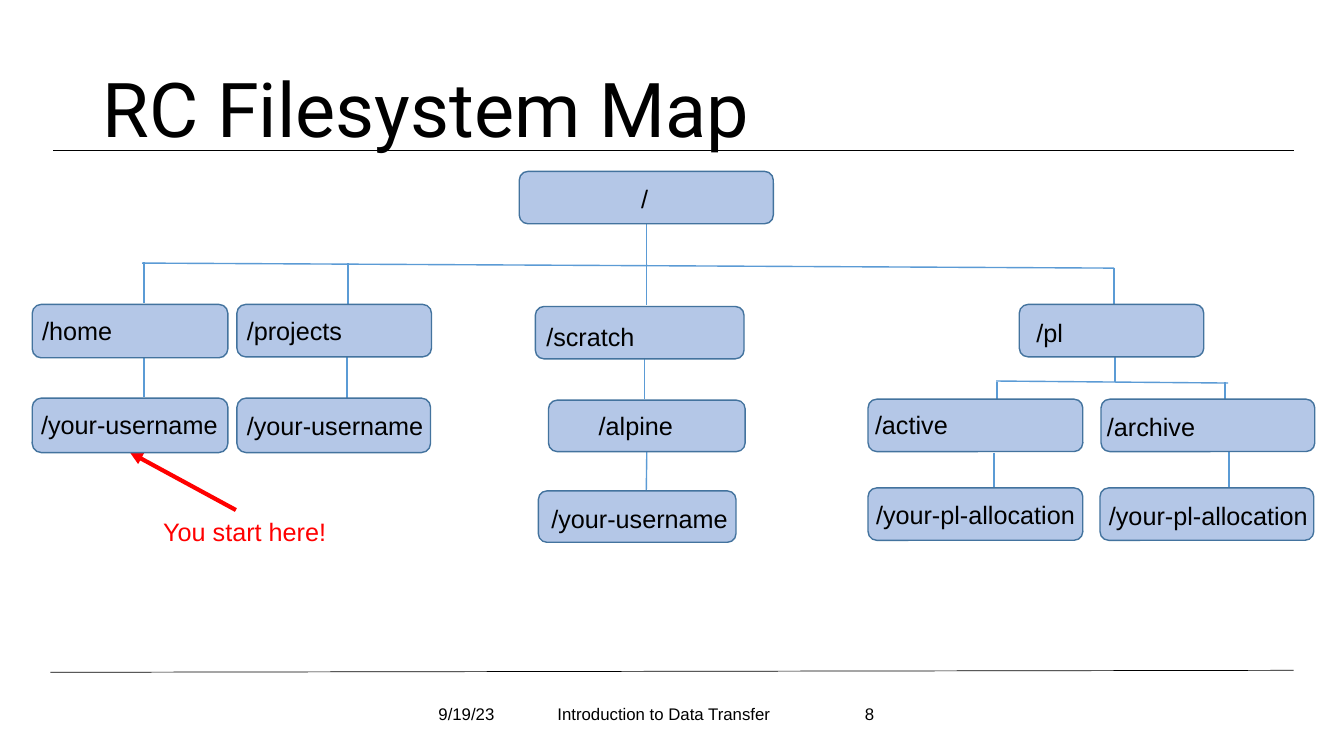
from dataclasses import dataclass

from pptx import Presentation
from pptx.dml.color import RGBColor
from pptx.enum.shapes import MSO_CONNECTOR, MSO_SHAPE
from pptx.enum.text import MSO_ANCHOR, MSO_AUTO_SIZE, PP_ALIGN
from pptx.oxml.ns import qn
from pptx.util import Inches, Pt
from lxml.etree import SubElement

COLORS = {
    "black": "000000",
    "white": "FFFFFF",
    "box": "B4C7E7",
    "border": "43739E",
    "branch": "5B9BD5",
    "red": "FF0000",
}
# Grid: 133.3 columns by 75 rows
COLS, ROWS = 133.3, 75
WIDTH, HEIGHT = Inches(13.33), Inches(7.5)
LABEL_ROWS = 4
BOTTOM = 2


@dataclass(frozen=True)
class Folder:
    key: str
    name: str
    col: float
    row: float
    cols: float
    rows: float
    label_col: float
    label_row: float
    label_cols: float


@dataclass(frozen=True)
class Line:
    col1: float
    row1: float
    col2: float
    row2: float
    color: str = "branch"
    weight: float = 1
    begin: str = ""  # folder whose bottom the line starts from
    end: str = ""  # folder whose bottom the line ends at
    arrow: bool = False


@dataclass(frozen=True)
class Footer:
    text: str
    col: float
    cols: float
    align: PP_ALIGN


FOLDERS = [
    Folder("root", "/", 51.5, 17, 25.2, 5.2, 62.6, 17.7, 3),
    Folder("home", "/home", 3.2, 30.2, 19.4, 5.3, 3.2, 30.8, 9.4),
    Folder("projects", "/projects", 23.5, 30.2, 19.3, 5.2, 23.5, 30.8, 12.3),
    Folder("scratch", "/scratch", 53.1, 30.4, 20.7, 5.2, 53.2, 31.4, 11.4),
    Folder("pl", "/pl", 101.1, 30.2, 18.3, 5.2, 101.8, 31, 8.8),
    Folder("home_user", "/your-username", 3.2, 39.5, 19.4, 5.4, 3.1, 40.1, 20.4),
    Folder("projects_user", "/your-username", 23.5, 39.5, 19.2, 5.4, 23.5, 40.2, 20.4),
    Folder("alpine", "/alpine", 54.4, 39.7, 19.5, 5.1, 58.4, 40.2, 11.3),
    Folder("alpine_user", "/your-username", 53.4, 48.7, 19.6, 5.1, 53.7, 49.4, 20.4),
    Folder("active", "/active", 86.1, 39.6, 21.3, 5.2, 85.8, 40.1, 10.2),
    Folder("archive", "/archive", 109.2, 39.6, 21.2, 5.2, 108.8, 40.3, 11),
    Folder("active_alloc", "/your-pl-allocation", 86.1, 48.4, 21.3, 5.2, 85.9, 49, 22.2),
    Folder("archive_alloc", "/your-pl-allocation", 109.1, 48.4, 21.2, 5.2, 109, 49.1, 22.2),
]

LINES = [
    Line(5, 66.7, 128.3, 66.5, "black", 0.5),
    Line(5.3, 14.9, 128.3, 14.9, "black", 0.5),
    Line(64.1, 22.2, 64.1, 26.3, begin="root"),
    Line(110.5, 26.6, 14.1, 26.1),
    Line(14.3, 26, 14.3, 30.1),
    Line(34.5, 26.1, 34.5, 30.2),
    Line(64.1, 26.4, 64.1, 30.3),
    Line(110.5, 26.6, 110.5, 30.2),
    Line(14.3, 35.3, 14.3, 39.4),
    Line(34.4, 35.4, 34.4, 39.5),
    Line(63.9, 35.5, 63.9, 39.6),
    Line(64.1, 44.9, 64.1, 48.7, begin="alpine"),
    Line(110.6, 35.4, 110.6, 37.9),
    Line(121.8, 38, 98.8, 37.8),
    Line(98.9, 37.9, 98.9, 42.8),
    Line(121.5, 37.9, 121.5, 42.6),
    Line(98.6, 44.9, 98.6, 49.7),
    Line(121.9, 44.7, 121.9, 48.5),
    Line(23.4, 50.6, 12.9, 45, "red", 3, end="home_user", arrow=True),
]

FOOTERS = [
    Footer("9/19/23", 42.5, 8.9, PP_ALIGN.LEFT),
    Footer("Introduction to Data Transfer", 51.5, 28.7, PP_ALIGN.CENTER),
    Footer("8", 80.2, 7.5, PP_ALIGN.RIGHT),
]


def x(cols: float) -> int:
    return round(WIDTH * cols / COLS)


def y(rows: float) -> int:
    return round(HEIGHT * rows / ROWS)


def rgb(name: str) -> RGBColor:
    return RGBColor.from_string(COLORS[name])


def add_run(p, text: str, size: float, font: str = "Arial", color: str = "black") -> None:
    r = p.add_run()
    r.text = text
    r.font.size = Pt(size)
    r.font.name = font
    r.font.color.rgb = rgb(color)


def add_label(slide, text: str, col: float, row: float, cols: float, color: str = "black") -> None:
    tf = slide.shapes.add_textbox(x(col), y(row), x(cols), y(LABEL_ROWS)).text_frame
    tf.word_wrap = True
    tf.auto_size = MSO_AUTO_SIZE.SHAPE_TO_FIT_TEXT
    add_run(tf.paragraphs[0], text, 18, color=color)


def add_title(slide, text: str) -> None:
    tf = slide.shapes.add_textbox(x(9.2), y(4), x(115), y(14.5)).text_frame
    tf.word_wrap = True
    tf.vertical_anchor = MSO_ANCHOR.MIDDLE
    p = tf.paragraphs[0]
    p.line_spacing = 0.9
    add_run(p, text, 54, "Roboto")


def add_footer(slide, footer: Footer) -> None:
    sp = slide.shapes.add_shape(MSO_SHAPE.RECTANGLE, x(footer.col), y(68.8), x(footer.cols), y(4))
    sp.shadow.inherit = False
    sp.fill.solid()
    sp.fill.fore_color.rgb = rgb("white")
    sp.line.fill.background()
    tf = sp.text_frame
    tf.word_wrap = True
    tf.vertical_anchor = MSO_ANCHOR.MIDDLE
    p = tf.paragraphs[0]
    p.alignment = footer.align
    add_run(p, footer.text, 12)


def add_line(slide, line: Line):
    cxn = slide.shapes.add_connector(
        MSO_CONNECTOR.STRAIGHT, x(line.col1), y(line.row1), x(line.col2), y(line.row2))
    cxn.line.color.rgb = rgb(line.color)
    cxn.line.width = Pt(line.weight)
    if line.arrow:
        SubElement(cxn.line._get_or_add_ln(), qn("a:tailEnd"), type="triangle")
    SubElement(cxn._element.spPr, qn("a:effectLst"))
    return cxn


def add_folder(slide, folder: Folder):
    sp = slide.shapes.add_shape(
        MSO_SHAPE.ROUNDED_RECTANGLE, x(folder.col), y(folder.row), x(folder.cols), y(folder.rows))
    sp.shadow.inherit = False
    sp.fill.solid()
    sp.fill.fore_color.rgb = rgb("box")
    sp.line.color.rgb = rgb("border")
    sp.line.width = Pt(1)
    add_label(slide, folder.name, folder.label_col, folder.label_row, folder.label_cols)
    return sp


def main() -> None:
    prs = Presentation()
    prs.slide_width, prs.slide_height = WIDTH, HEIGHT
    slide = prs.slides.add_slide(prs.slide_layouts[6])
    connectors = [add_line(slide, line) for line in LINES]
    add_title(slide, "RC Filesystem Map")
    for footer in FOOTERS:
        add_footer(slide, footer)
    boxes = {folder.key: add_folder(slide, folder) for folder in FOLDERS}
    for line, cxn in zip(LINES, connectors):
        if line.begin:
            cxn.begin_connect(boxes[line.begin], BOTTOM)
        if line.end:
            cxn.end_connect(boxes[line.end], BOTTOM)
    add_label(slide, "You start here!", 15.2, 50.7, 18.8, "red")
    prs.save("out.pptx")


if __name__ == "__main__":
    main()
